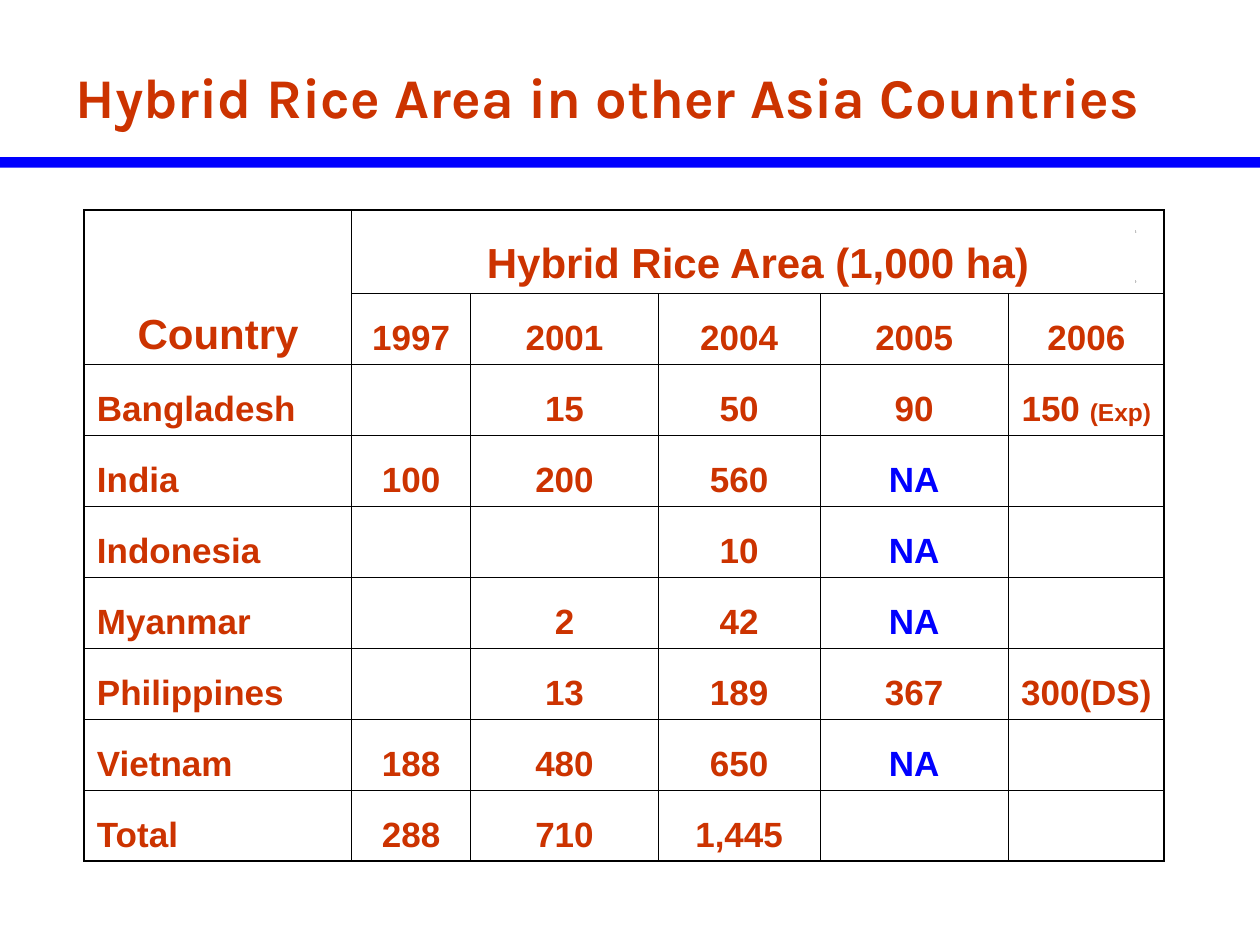
import pptx
import pptx.dml.color
import pptx.enum.shapes
import pptx.enum.text
import pptx.oxml.ns
import pptx.util
from lxml import etree
from pptx.util import Cm, Pt

RGBColor = pptx.dml.color.RGBColor
RUST = RGBColor(0xCC, 0x33, 0x00)
BLUE = RGBColor(0x00, 0x00, 0xFF)
GREY = RGBColor(0xC0, 0xC0, 0xC0)
BLACK = RGBColor(0x00, 0x00, 0x00)
ALIGN = pptx.enum.text.PP_ALIGN
ANCHOR = pptx.enum.text.MSO_ANCHOR
qn = pptx.oxml.ns.qn

YEARS = ["1997", "2001", "2004", "2005", "2006"]
AREAS = [
    ["Bangladesh", "", "15", "50", "90", "150 (Exp)"],
    ["India", "100", "200", "560", "NA", ""],
    ["Indonesia", "", "", "10", "NA", ""],
    ["Myanmar", "", "2", "42", "NA", ""],
    ["Philippines", "", "13", "189", "367", "300(DS)"],
    ["Vietnam", "188", "480", "650", "NA", ""],
    ["Total", "288", "710", "1,445", "", ""],
]
COL_WIDTHS = [5.39, 2.4, 3.78, 3.26, 3.8, 3.14]
HEADER_HEIGHT, ROW_HEIGHT = 1.68, 1.43


class Deck:
    font, title_font = "Arial", "Karla"
    thin, thick = Pt(0.45), Pt(1.08)

    def __init__(self, width, height):
        self.prs = pptx.Presentation()
        self.prs.slide_width, self.prs.slide_height = Cm(width), Cm(height)
        self.s = self.prs.slides.add_slide(self.prs.slide_layouts[5])

    def run(self, p, text, size, color=RUST, font=None):
        r = p.add_run()
        r.text = text
        r.font.name, r.font.size, r.font.bold = font or self.font, Pt(size), True
        r.font.color.rgb = color

    def title(self, text, x, y, w, h):
        sp = self.s.shapes.title
        sp.left, sp.top, sp.width, sp.height = Cm(x), Cm(y), Cm(w), Cm(h)
        tf = sp.text_frame
        tf.word_wrap = True
        tf.auto_size = pptx.enum.text.MSO_AUTO_SIZE.NONE
        tf.vertical_anchor = ANCHOR.TOP
        p = tf.paragraphs[0]
        p.alignment = ALIGN.LEFT
        self.run(p, text, 32, font=self.title_font)

    def bar(self, x, y, w, h, color):
        rect = pptx.enum.shapes.MSO_SHAPE.RECTANGLE
        sp = self.s.shapes.add_shape(rect, Cm(x), Cm(y), Cm(w), Cm(h))
        sp.shadow.inherit = False
        sp.fill.solid()
        sp.fill.fore_color.rgb = color
        sp.line.fill.background()

    def line(self, x1, y1, x2, y2, color):
        straight = pptx.enum.shapes.MSO_CONNECTOR.STRAIGHT
        cx = self.s.shapes.add_connector(straight, Cm(x1), Cm(y1), Cm(x2), Cm(y2))
        cx.line.color.rgb = color
        cx.line.width = Pt(0)
        etree.SubElement(cx._element.spPr, qn("a:effectLst"))

    def table(self, x, y, col_widths, row_heights):
        rows, cols = len(row_heights), len(col_widths)
        frame = self.s.shapes.add_table(
            rows, cols, Cm(x), Cm(y), Cm(sum(col_widths)), Cm(sum(row_heights)))
        tbl = frame.table
        tbl.first_row = tbl.horz_banding = False
        for col, w in zip(tbl.columns, col_widths):
            col.width = Cm(w)
        for row, h in zip(tbl.rows, row_heights):
            row.height = Cm(h)
        return tbl

    def cell(self, cell, runs, align=ALIGN.CENTER, before=5):
        cell.vertical_anchor = ANCHOR.BOTTOM
        p = cell.text_frame.paragraphs[0]
        p.alignment, p.space_before = align, Pt(before)
        for text, size, color in runs:
            self.run(p, text, size, color)

    def borders(self, tbl):
        rows, cols = len(tbl.rows), len(tbl.columns)
        for i in range(rows):
            for j in range(cols):
                cell = tbl.cell(i, j)
                if not cell.is_spanned:
                    outer = {
                        "L": j == 0,
                        "R": j + cell.span_width == cols,
                        "T": i == 0,
                        "B": i + cell.span_height == rows,
                    }
                    for side, edge in outer.items():
                        self.border(cell, side, self.thick if edge else self.thin)
                cell.fill.background()

    def border(self, cell, side, width):
        tc_pr = cell._tc.get_or_add_tcPr()
        ln = etree.SubElement(tc_pr, qn("a:ln" + side), w=str(int(width)))
        fill = etree.SubElement(ln, qn("a:solidFill"))
        etree.SubElement(fill, qn("a:srgbClr"), val=str(BLACK))


def area_runs(text):
    value, note, rest = text.partition(" (")
    if note:
        return [(value + " ", 20, RUST), ("(" + rest, 14, RUST)]
    return [(text, 20, BLUE if text == "NA" else RUST)] if text else []


def main():
    deck = Deck(25.4, 19.05)
    deck.title("Hybrid Rice Area in other Asia Countries", 1.27, 1.14, 22.22, 2.97)
    for y in (4.67, 5.67):
        deck.line(22.89, y, 22.91, y, GREY)
        deck.bar(22.89, y, 0.02, 0.02, GREY)

    heights = [HEADER_HEIGHT] + [ROW_HEIGHT] * (len(AREAS) + 1)
    tbl = deck.table(1.7, 4.24, COL_WIDTHS, heights)
    tbl.cell(0, 0).merge(tbl.cell(1, 0))
    tbl.cell(0, 1).merge(tbl.cell(0, len(YEARS)))
    for j, text in enumerate(["Country", "Hybrid Rice Area (1,000 ha)"]):
        deck.cell(tbl.cell(0, j), [(text, 24, RUST)], before=6)
    for j, year in enumerate(YEARS, 1):
        deck.cell(tbl.cell(1, j), area_runs(year))
    for i, row in enumerate(AREAS, 2):
        for j, text in enumerate(row):
            align = ALIGN.CENTER if j else ALIGN.LEFT
            deck.cell(tbl.cell(i, j), area_runs(text), align)
    deck.borders(tbl)

    deck.bar(0, 3.17, 25.4, 0.21, BLUE)
    deck.prs.save("out.pptx")


if __name__ == "__main__":
    main()
